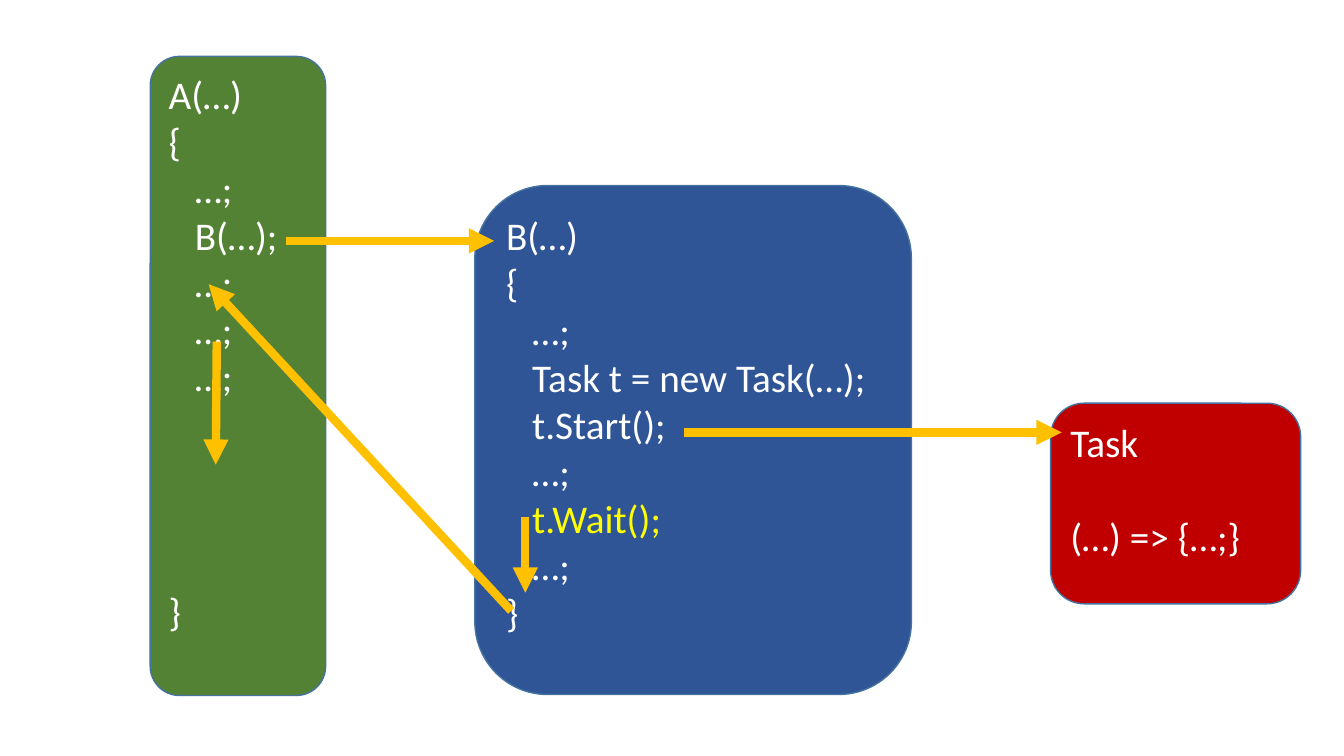
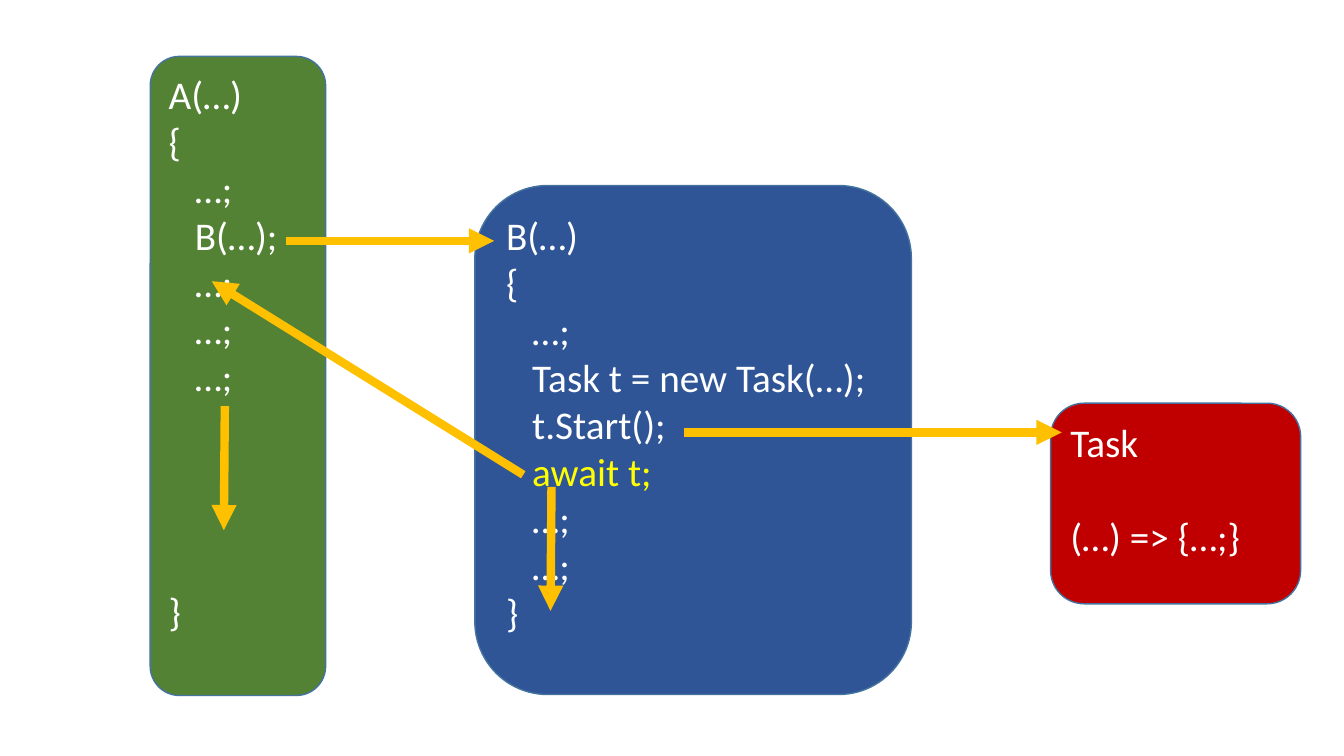
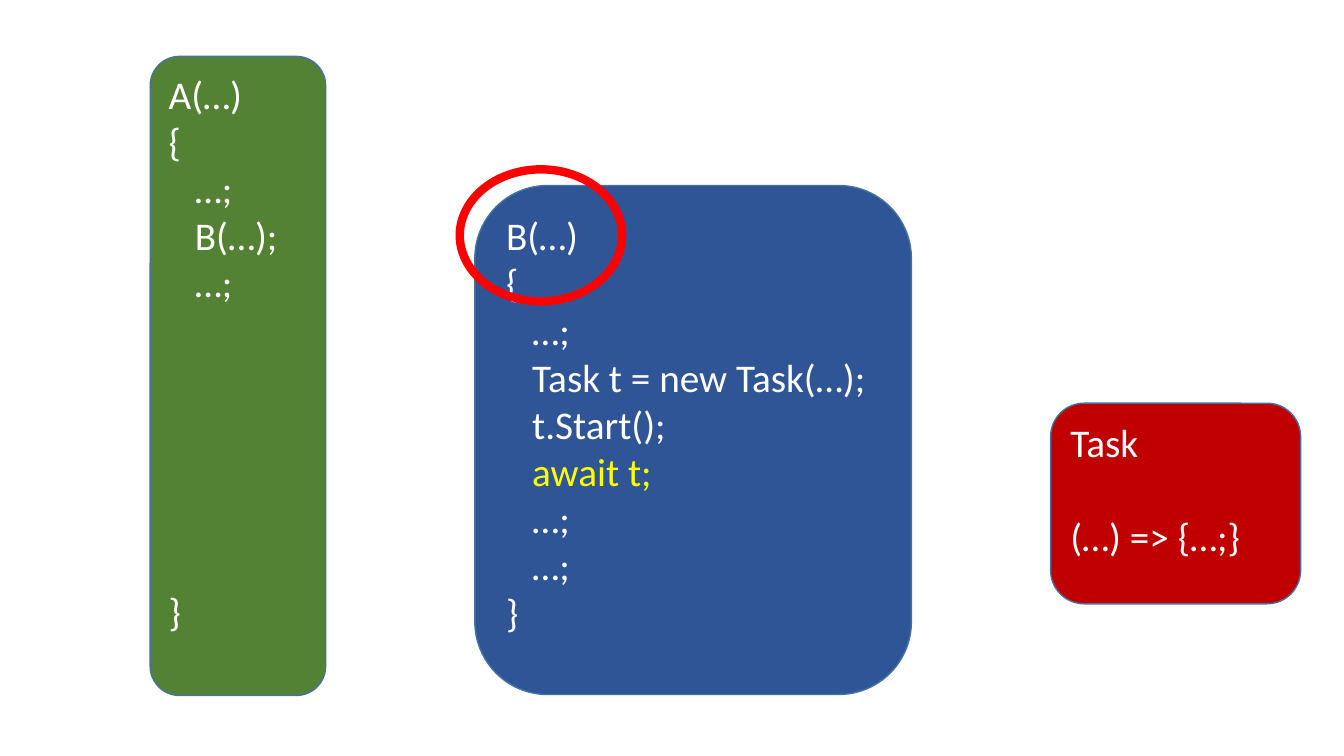
"""Builds three slides that compare blocking and awaiting task calls."""
from dataclasses import dataclass

from lxml import etree
from pptx import Presentation
from pptx.dml.color import RGBColor
from pptx.enum.shapes import MSO_CONNECTOR, MSO_SHAPE
from pptx.enum.text import MSO_ANCHOR, PP_ALIGN
from pptx.oxml.ns import qn
from pptx.util import Inches, Pt

ROUNDED = MSO_SHAPE.ROUNDED_RECTANGLE
OVAL = MSO_SHAPE.OVAL
STRAIGHT = MSO_CONNECTOR.STRAIGHT
TOP = MSO_ANCHOR.TOP
LEFT = PP_ALIGN.LEFT


@dataclass(frozen=True)
class Theme:
    font: str = "Calibri"
    code_size: float = 28
    line_pitch: float = 33.6
    indent: float = 0.26
    thin: float = 1
    thick: float = 6
    text: str = "FFFFFF"
    highlight: str = "FFFF00"
    outline: str = "43739E"
    arrow: str = "FFC000"
    ring: str = "FF0000"
    caller: str = "548235"
    callee: str = "2F5597"
    task: str = "C00000"


class Deck:
    def __init__(self, theme):
        self.theme = theme
        self.presentation = Presentation()
        self.presentation.slide_width = Inches(13.33)
        self.presentation.slide_height = Inches(7.5)
        self.page = None

    def add_page(self):
        self.page = self.presentation.slides.add_slide(self.presentation.slide_layouts[6])

    def style_line(self, line, color, width):
        line.color.rgb = RGBColor.from_string(color)
        line.width = Pt(width)

    def shape(self, kind, area, color, width):
        shape = self.page.shapes.add_shape(kind, *map(Inches, area))
        shape.shadow.inherit = False
        self.style_line(shape.line, color, width)
        return shape

    def code_box(self, area, fill, lines, highlight=None):
        box = self.shape(ROUNDED, area, self.theme.outline, self.theme.thin)
        box.fill.solid()
        box.fill.fore_color.rgb = RGBColor.from_string(fill)
        frame = box.text_frame
        frame.word_wrap = True
        frame.vertical_anchor = TOP
        paragraph = frame.paragraphs[0]
        skipped = 0
        for index, line in enumerate(lines):
            if not line:
                skipped += 1
                continue
            if index:
                paragraph = frame.add_paragraph()
            self.code_line(paragraph, line, skipped, line == highlight)
            skipped = 0

    def code_line(self, paragraph, line, skipped, highlighted):
        theme = self.theme
        paragraph.text = line
        paragraph.alignment = LEFT
        paragraph.font.name = theme.font
        paragraph.font.size = Pt(theme.code_size)
        color = theme.highlight if highlighted else theme.text
        paragraph.font.color.rgb = RGBColor.from_string(color)
        if skipped:
            paragraph.space_before = Pt(skipped * theme.line_pitch)
        if line.endswith(";"):
            properties = paragraph._p.get_or_add_pPr()
            properties.set("marL", str(Inches(theme.indent)))
            properties.set("indent", "0")

    def arrow(self, start, end):
        arrow = self.page.shapes.add_connector(STRAIGHT, *map(Inches, start + end))
        self.style_line(arrow.line, self.theme.arrow, self.theme.thick)
        properties = arrow._element.spPr
        etree.SubElement(properties.find(qn("a:ln")), qn("a:tailEnd"), type="triangle")
        etree.SubElement(properties, qn("a:effectLst"))

    def ring(self, area):
        self.shape(OVAL, area, self.theme.ring, self.theme.thick).fill.background()

    def call_page(self, caller_tail, callee_tail, highlight, arrows=()):
        theme = self.theme
        self.add_page()
        self.code_box((1.49, 0.56, 1.74, 6.34), theme.caller,
                      ["A(…)", "{", "…;", "B(…);", *caller_tail, "}"])
        self.code_box((10.42, 4, 2.48, 1.99), theme.task, ["Task", "", "(…) => {…;}"])
        self.code_box((4.71, 1.84, 4.33, 5.05), theme.callee,
                      ["B(…)", "{", "…;", "Task t = new Task(…);", "t.Start();",
                       *callee_tail, "}"], highlight)
        for start, end in arrows:
            self.arrow(start, end)


def main():
    deck = Deck(Theme())
    call_arrows = [((2.84, 2.39), (4.9, 2.39)), ((6.78, 4.29), (10.53, 4.29))]
    running_caller = ["…;"] * 3 + [""] * 4
    waiting_caller = ["…;"] + [""] * 6
    awaiting = ["await t;", "…;", "…;"]

    deck.call_page(running_caller, ["…;", "t.Wait();", "…;"], "t.Wait();", call_arrows + [
        ((5.21, 5.13), (5.21, 5.88)),
        ((5.07, 6.06), (2.07, 2.82)),
        ((2.15, 3.39), (2.14, 4.61)),
    ])
    deck.call_page(running_caller, awaiting, "await t;", call_arrows + [
        ((5.19, 4.71), (2.1, 2.79)),
        ((2.23, 4.03), (2.22, 5.26)),
        ((5.47, 4.83), (5.46, 6.06)),
    ])
    deck.call_page(waiting_caller, awaiting, "await t;")
    deck.ring((4.56, 1.68, 1.61, 1.31))
    deck.presentation.save("out.pptx")


if __name__ == "__main__":
    main()
